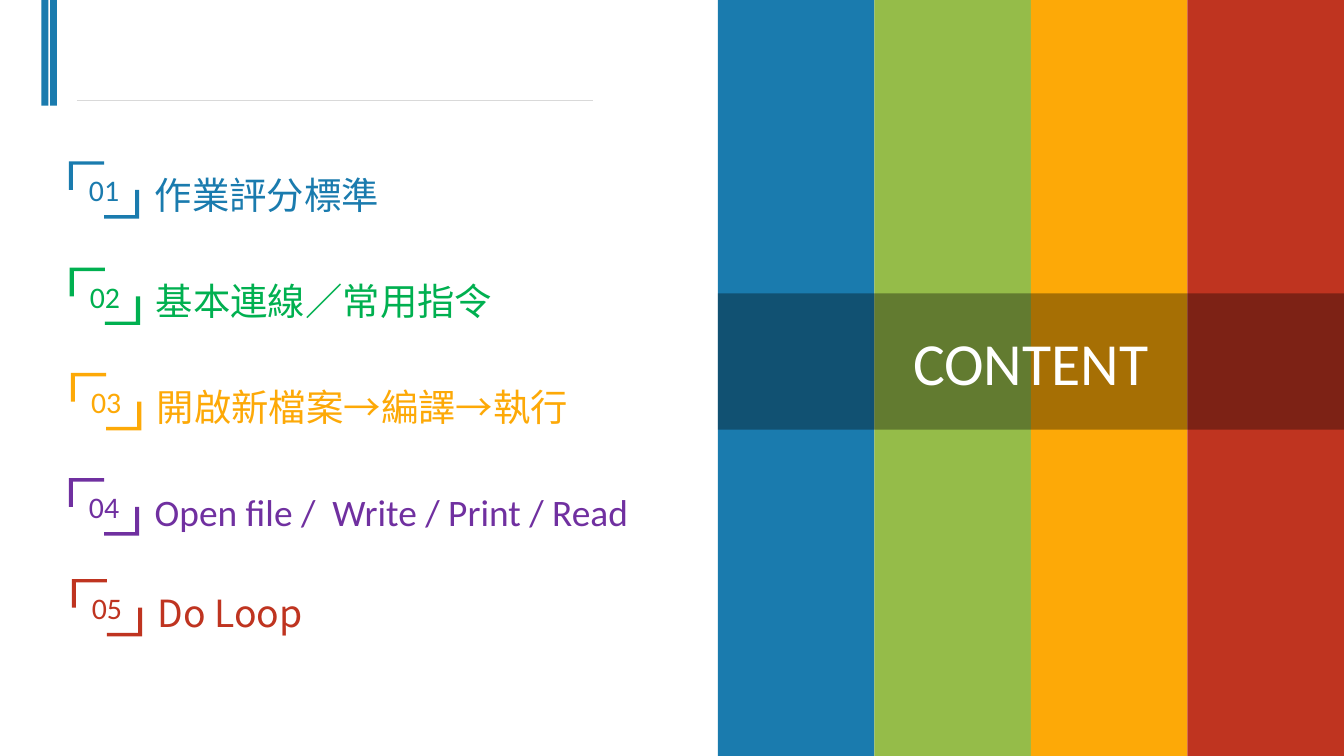
from dataclasses import dataclass

from lxml import etree
from pptx import Presentation
from pptx.dml.color import RGBColor
from pptx.enum.shapes import MSO_CONNECTOR, MSO_SHAPE
from pptx.enum.text import MSO_ANCHOR, MSO_AUTO_SIZE, PP_ALIGN
from pptx.oxml.ns import qn
from pptx.util import Pt

RECTANGLE = MSO_SHAPE.RECTANGLE
STRAIGHT = MSO_CONNECTOR.STRAIGHT
MIDDLE = MSO_ANCHOR.MIDDLE
CENTER = PP_ALIGN.CENTER
NO_AUTOFIT = MSO_AUTO_SIZE.NONE
GROW = MSO_AUTO_SIZE.SHAPE_TO_FIT_TEXT

SLIDE_WIDTH, SLIDE_HEIGHT = 720, 405
PANEL_LEFT = 384.6
BRACKET_WIDTH, BRACKET_HEIGHT = 37.7, 30.7
BRACKET_SIDE, BRACKET_EDGE = 2.2, 1.8


@dataclass(frozen=True)
class Theme:
    """Colours, fonts and type sizes of the slide."""

    blue: str = "1A7BAE"
    lime: str = "95BC49"
    green: str = "00B050"
    amber: str = "FDA907"
    purple: str = "7030A0"
    red: str = "BF3420"
    rule: str = "D9D9D9"
    black: str = "000000"
    white: str = "FFFFFF"
    latin_font: str = "Calibri"
    chinese_font: str = "Noto Sans CJK SC"
    title_size: int = 32
    item_size: int = 20
    number_size: int = 16


class SlideBuilder:
    """Draws themed elements on one slide, with lengths in points."""

    def __init__(self, slide, theme):
        self.slide = slide
        self.theme = theme

    def paint(self, shape, color):
        shape.fill.solid()
        shape.fill.fore_color.rgb = RGBColor.from_string(color)

    def set_text(self, shape, text, size, color, font=None, alignment=None):
        font = font or self.theme.latin_font
        shape.text_frame.text = text
        paragraph = shape.text_frame.paragraphs[0]
        paragraph.alignment = alignment
        paragraph.font.size = Pt(size)
        paragraph.font.name = font
        paragraph.font.color.rgb = RGBColor.from_string(color)
        properties = paragraph._p.pPr.find(qn("a:defRPr"))
        etree.SubElement(properties, qn("a:ea")).set("typeface", font)

    def rectangle(self, left, top, width, height, color):
        shape = self.slide.shapes.add_shape(
            RECTANGLE, Pt(left), Pt(top), Pt(width), Pt(height))
        shape.shadow.inherit = False
        shape.line.fill.background()
        self.paint(shape, color)

    def rule(self, left, right, top):
        connector = self.slide.shapes.add_connector(
            STRAIGHT, Pt(left), Pt(top), Pt(right), Pt(top))
        connector.line.width = Pt(0.75)
        connector.line.color.rgb = RGBColor.from_string(self.theme.rule)
        etree.SubElement(connector.element.spPr, qn("a:effectLst"))

    def bracket(self, left, top, number, color):
        middle_x, middle_y = BRACKET_WIDTH / 2, BRACKET_HEIGHT / 2
        corner = [(0, 0), (middle_x, 0), (middle_x, BRACKET_EDGE),
                  (BRACKET_SIDE, BRACKET_EDGE), (BRACKET_SIDE, middle_y), (0, middle_y)]
        opposite = [(BRACKET_WIDTH - x, BRACKET_HEIGHT - y) for x, y in corner]
        first, second = ([(Pt(left + x), Pt(top + y)) for x, y in outline]
                         for outline in (corner, opposite))
        builder = self.slide.shapes.build_freeform(*first[0])
        builder.add_line_segments(first[1:])
        builder.move_to(*second[0])
        builder.add_line_segments(second[1:])
        shape = builder.convert_to_shape()
        shape.shadow.inherit = False
        shape.line.fill.background()
        self.paint(shape, color)
        shape.text_frame.vertical_anchor = MIDDLE
        self.set_text(shape, number, self.theme.number_size, color, alignment=CENTER)

    def item(self, left, top, number, text, color, font):
        box = self.slide.shapes.add_textbox(
            Pt(left + 38.9), Pt(top + 2.2), Pt(286.6), Pt(31.5))
        box.text_frame.word_wrap = True
        box.text_frame.auto_size = GROW
        self.set_text(box, text, self.theme.item_size, color, font)
        self.bracket(left, top, number, color)

    def title_band(self, text, left, top, width, height, opacity):
        title = self.slide.shapes.title
        title.left, title.top = Pt(left), Pt(top)
        title.width, title.height = Pt(width), Pt(height)
        self.paint(title, self.theme.black)
        fill_color = title.element.spPr.find(qn("a:solidFill"))[0]
        etree.SubElement(fill_color, qn("a:alpha")).set("val", str(opacity * 1000))
        title.text_frame.auto_size = NO_AUTOFIT
        title.text_frame.vertical_anchor = MIDDLE
        self.set_text(title, text, self.theme.title_size, self.theme.white, alignment=CENTER)
        title.element.getparent().append(title.element)


def main():
    theme = Theme()
    presentation = Presentation()
    presentation.slide_width = Pt(SLIDE_WIDTH)
    presentation.slide_height = Pt(SLIDE_HEIGHT)
    slide = presentation.slides.add_slide(presentation.slide_layouts[5])
    builder = SlideBuilder(slide, theme)

    for left in (22.2, 26.8):
        builder.rectangle(left, 0, 3.7, 56.7, theme.blue)
    builder.rule(41.2, 317.6, 53.7)

    items = [
        (36.9, 86.4, "作業評分標準", theme.blue, theme.chinese_font),
        (37.4, 143.4, "基本連線／常用指令", theme.green, theme.chinese_font),
        (38, 199.8, "開啟新檔案→編譯→執行", theme.amber, theme.chinese_font),
        (36.9, 256.2, "Open file /  Write / Print / Read", theme.purple, theme.latin_font),
        (38.5, 310.2, "Do Loop", theme.red, theme.chinese_font),
    ]
    for number, (left, top, text, color, font) in enumerate(items, start=1):
        builder.item(left, top, f"{number:02}", text, color, font)

    stripes = (theme.blue, theme.lime, theme.amber, theme.red)
    panel_width = SLIDE_WIDTH - PANEL_LEFT
    stripe_width = panel_width / len(stripes)
    for index, color in enumerate(stripes):
        builder.rectangle(
            PANEL_LEFT + index * stripe_width, 0, stripe_width, SLIDE_HEIGHT, color)
    builder.title_band("CONTENT", PANEL_LEFT, 157.2, panel_width, 73, opacity=34)

    presentation.save("out.pptx")


if __name__ == "__main__":
    main()
